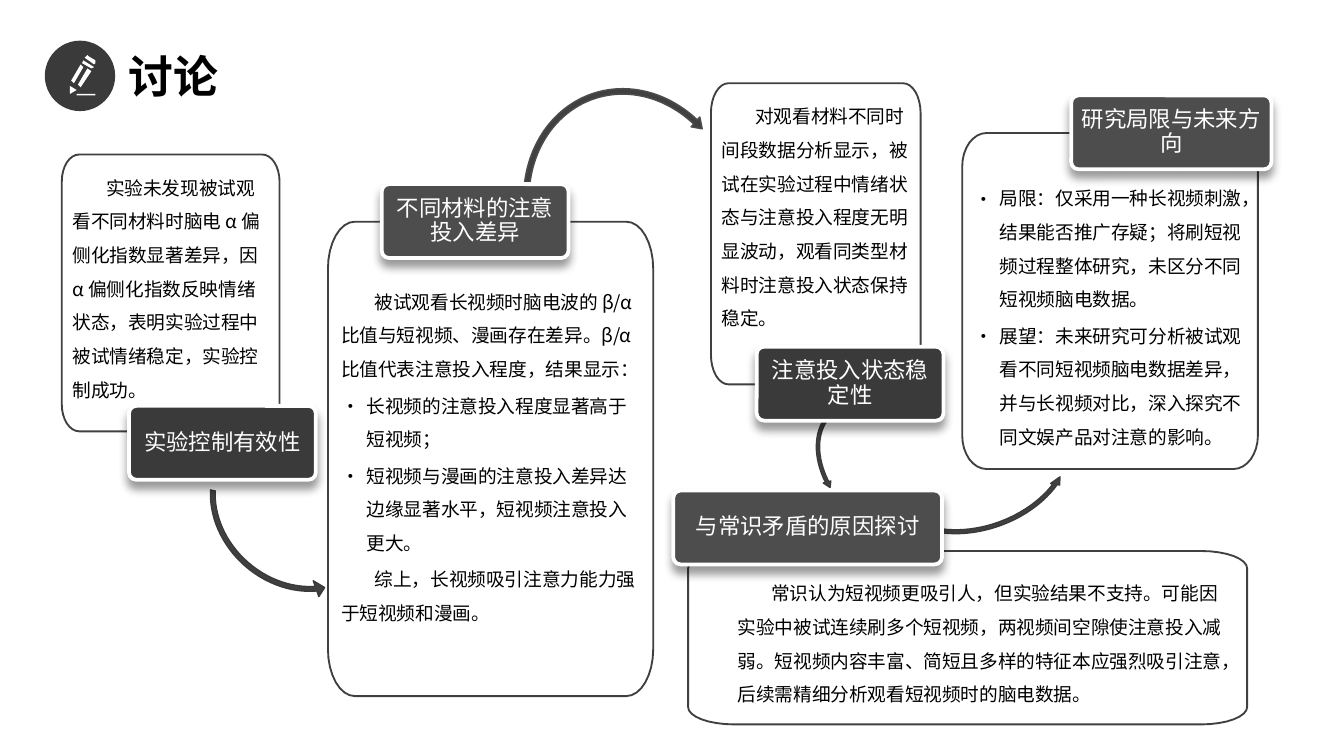
from math import cos, radians, sin

from lxml.etree import SubElement
from pptx import Presentation
from pptx.dml.color import RGBColor
from pptx.enum.shapes import MSO_SHAPE
from pptx.enum.text import MSO_ANCHOR, PP_ALIGN
from pptx.oxml.ns import qn
from pptx.util import Inches, Pt

color = RGBColor.from_string
CJK = "Noto Sans CJK SC"

deck = Presentation()
deck.slide_width = Inches(10)
deck.slide_height = Inches(10 * 9 / 16)
page = deck.slides.add_slide(deck.slide_layouts[6])


def draw_outline(contours):
    builder = None
    for contour in contours:
        points = [(Inches(x), Inches(y)) for x, y in contour]
        if builder is None:
            builder = page.shapes.build_freeform(*points[0])
        else:
            builder.move_to(*points[0])
        builder.add_line_segments(points[1:], close=True)
    shape = builder.convert_to_shape()
    shape.shadow.inherit = False
    return shape


def write(frame, lines, size, font, ink, spacing, after):
    frame.word_wrap = True
    for index, line in enumerate(lines):
        para = frame.paragraphs[0] if index == 0 else frame.add_paragraph()
        para.text = line.lstrip("•")
        para.alignment = PP_ALIGN.LEFT
        para.line_spacing = spacing
        para.space_after = Pt(after)
        para.font.size = Pt(size)
        para.font.name = font
        para.font.color.rgb = color(ink)
        properties = para._p.get_or_add_pPr()
        defaults = properties.find(qn("a:defRPr"))
        SubElement(defaults, qn("a:ea")).set("typeface", CJK)
        if line.startswith("•"):
            properties.set("marL", str(Inches(0.19)))
            properties.set("indent", str(-Inches(0.19)))
            bullet_font = SubElement(properties, qn("a:buFont"), typeface=CJK)
            bullet = SubElement(properties, qn("a:buChar"), char="•")
            defaults.addprevious(bullet_font)
            defaults.addprevious(bullet)
        elif size == 10:
            properties.set("indent", str(Inches(0.25)))


LEFT_ARROW, RIGHT_ARROW = MSO_SHAPE.LEFT_CIRCULAR_ARROW, MSO_SHAPE.CIRCULAR_ARROW
arrows = [
    (LEFT_ARROW, (6.54, 2.93, 1.47, 1.03), 340, "3A3A3A", (0.028, 3.466, 21.221, 94.365, 0.033)),
    (LEFT_ARROW, (1.48, 3.15, 1.45, 1.25), 41, "3A3A3A", (0.028, 3.466, 21.221, 90.245, 0.05)),
    (RIGHT_ARROW, (3.88, 0.62, 1.64, 1.87), 341, "4D4D4D", (0.025, 3.074, 195.171, 125.755, 0.03)),
    (LEFT_ARROW, (6.16, 2.88, 0.88, 1.26), 135, "3A3A3A", (0.028, 3.466, 21.221, 90.245, 0.033)),
]
for kind, place, turn, edge, bends in arrows:
    arrow = page.shapes.add_shape(kind, *map(Inches, place))
    arrow.rotation = turn
    for index, bend in enumerate(bends):
        arrow.adjustments[index] = bend
    arrow.shadow.inherit = False
    arrow.fill.solid()
    arrow.fill.fore_color.rgb = color("404040")
    arrow.line.color.rgb = color(edge)
    arrow.line.width = Pt(0.75)

cards = [
    ((0.46, 1.15, 1.62, 2.06), (0.13, 0.2), None,
     ["实验未发现被试观看不同材料时脑电 α 偏侧化指数显著差异，因 α 偏侧化指数反映情绪状态，表明实验过程中被试情绪稳定，实验控制成功。"],
     "实验控制有效性", (0.96, 3.02, 1.39), "3A3A3A"),
    ((5.29, 0.62, 1.56, 2.24), (0.13, 0.22), None,
     ["对观看材料不同时间段数据分析显示，被试在实验过程中情绪状态与注意投入程度无明显波动，观看同类型材料时注意投入状态保持稳定。"],
     "注意投入状态稳定性", (5.63, 2.58, 1.39), "3A3A3A"),
    ((2.44, 1.65, 2.42, 3.53), (0.2, 0.35), (2.44, 2.03, 2.42, 2.82),
     ["被试观看长视频时脑电波的 β/α 比值与短视频、漫画存在差异。β/α 比值代表注意投入程度，结果显示：",
      "•长视频的注意投入程度显著高于短视频；",
      "•短视频与漫画的注意投入差异达边缘显著水平，短视频注意投入更大。",
      "综上，长视频吸引注意力能力强于短视频和漫画。"],
     "不同材料的注意投入差异", (2.84, 1.37, 1.39), "4D4D4D"),
    ((7.16, 0.99, 2.2, 2.5), (0.18, 0.25), (7.15, 1.26, 2.21, 2.15),
     ["•局限：仅采用一种长视频刺激，结果能否推广存疑；将刷短视频过程整体研究，未区分不同短视频脑电数据。",
      "•展望：未来研究可分析被试观看不同短视频脑电数据差异，并与长视频对比，深入探究不同文娱产品对注意的影响。"],
     "研究局限与未来方向", (7.97, 0.71, 1.49), "4D4D4D"),
    ((5.12, 4.1, 4.16, 1.29), (0.34, 0.13), (5.39, 4.2, 3.84, 1.11),
     ["常识认为短视频更吸引人，但实验结果不支持。可能因实验中被试连续刷多个短视频，两视频间空隙使注意投入减弱。短视频内容丰富、简短且多样的特征本应强烈吸引注意，后续需精细分析观看短视频时的脑电数据。"],
     "与常识矛盾的原因探讨", (5.01, 3.65, 2), "4D4D4D"),
]
for (left, top, width, height), (rx, ry), text_place, lines, heading, label_place, shade in cards:
    corners = [(left + width - rx, top + height - ry), (left + rx, top + height - ry),
               (left + rx, top + ry), (left + width - rx, top + ry)]
    rim = []
    for quarter, (x, y) in enumerate(corners):
        for step in range(9):
            angle = radians(90 * quarter + 11.25 * step)
            rim.append((x + rx * cos(angle), y + ry * sin(angle)))
    card = draw_outline([rim])
    card.fill.background()
    card.line.color.rgb = color("404040")
    card.line.width = Pt(1)

    label = page.shapes.add_shape(MSO_SHAPE.ROUNDED_RECTANGLE, *map(Inches, label_place), Inches(0.55))
    label.adjustments[0] = 0.1
    label.fill.solid()
    label.fill.fore_color.rgb = color(shade)
    label.line.color.rgb = color("FFFFFF")
    label.line.width = Pt(2)
    label.shadow.inherit = False
    effects = label._element.spPr.find(qn("a:effectLst"))
    shadow = SubElement(effects, qn("a:outerShdw"), blurRad=str(Pt(5)), dist=str(Pt(4)),
                        dir="5400000", rotWithShape="0")
    tint = SubElement(shadow, qn("a:srgbClr"), val="000000")
    SubElement(tint, qn("a:alpha"), val="40000")
    label_frame = label.text_frame
    label_frame.margin_left = label_frame.margin_right = Inches(0.06)
    label_frame.vertical_anchor = MSO_ANCHOR.MIDDLE
    write(label_frame, [heading], 12, "Arial", "FFFFFF", 0.9, 4.2)
    label_frame.paragraphs[0].alignment = PP_ALIGN.CENTER

    if text_place:
        frame = page.shapes.add_textbox(*map(Inches, text_place)).text_frame
    else:
        frame = card.text_frame
        frame.margin_left = frame.margin_right = frame.margin_top = Inches(0.08)
        frame.margin_bottom = Inches(0.36)
    frame.vertical_anchor = MSO_ANCHOR.TOP
    write(frame, lines, 10, CJK, "000000", 1.5, 1.5)

title = page.shapes.add_textbox(Inches(0.86), Inches(0.31), Inches(1.88), Inches(0.5))
write(title.text_frame, ["讨论"], 24, "Arial", "000000", 1.0, 0)
title.text_frame.paragraphs[0].font.bold = True

badge = page.shapes.add_shape(MSO_SHAPE.OVAL, Inches(0.34), Inches(0.31), Inches(0.51), Inches(0.51))
badge.shadow.inherit = False
badge.fill.solid()
badge.fill.fore_color.rgb = color("3A3A3A")
badge.line.color.rgb = color("3A3A3A")
badge.line.width = Pt(1)

pencil = draw_outline([
    [(0.64, 0.42), (0.65, 0.41), (0.66, 0.42), (0.71, 0.45), (0.71, 0.47), (0.7, 0.48), (0.63, 0.43)],
    [(0.62, 0.45), (0.61, 0.47), (0.68, 0.51), (0.7, 0.5)],
    [(0.52, 0.7), (0.52, 0.64), (0.57, 0.67)],
    [(0.53, 0.6), (0.6, 0.48), (0.62, 0.5), (0.55, 0.62)],
    [(0.58, 0.63), (0.65, 0.51), (0.68, 0.53), (0.6, 0.65)],
    [(0.57, 0.7), (0.71, 0.7), (0.71, 0.71), (0.57, 0.71)],
])
pencil.fill.solid()
pencil.fill.fore_color.rgb = color("FFFFFF")
pencil.line.fill.background()

deck.save("out.pptx")
